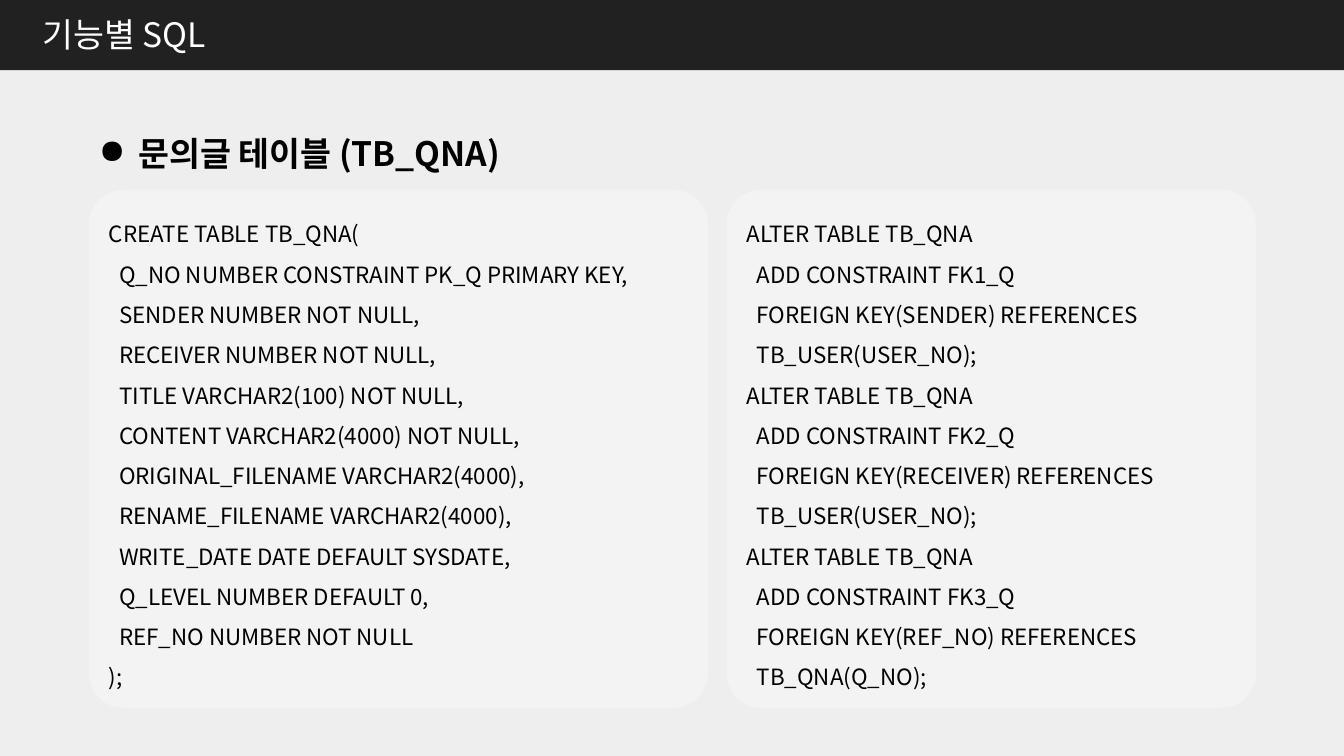
from lxml import etree
from pptx import Presentation
from pptx import util as u
from pptx.dml.color import RGBColor
from pptx.enum import shapes, text
from pptx.oxml import ns

FONT = "Noto Sans CJK KR"
BACKGROUND = RGBColor(0xEE, 0xEE, 0xEE)
HEADER = RGBColor(0x21, 0x21, 0x21)
WHITE = RGBColor(0xFF, 0xFF, 0xFF)
BLACK = RGBColor(0, 0, 0)

CREATE_SQL = [
    (0, "CREATE TABLE TB_QNA("),
    (1, "Q_NO NUMBER CONSTRAINT PK_Q PRIMARY KEY,"),
    (1, "SENDER NUMBER NOT NULL,"),
    (1, "RECEIVER NUMBER NOT NULL,"),
    (1, "TITLE VARCHAR2(100) NOT NULL,"),
    (1, "CONTENT VARCHAR2(4000) NOT NULL,"),
    (1, "ORIGINAL_FILENAME VARCHAR2(4000),"),
    (1, "RENAME_FILENAME VARCHAR2(4000),"),
    (1, "WRITE_DATE DATE DEFAULT SYSDATE,"),
    (1, "Q_LEVEL NUMBER DEFAULT 0,"),
    (1, "REF_NO NUMBER NOT NULL"),
    (0, ");"),
]
FOREIGN_KEYS = [
    ("FK1_Q", "SENDER", "TB_USER(USER_NO)"),
    ("FK2_Q", "RECEIVER", "TB_USER(USER_NO)"),
    ("FK3_Q", "REF_NO", "TB_QNA(Q_NO)"),
]


def foreign_key_sql():
    lines = []
    for constraint, column, target in FOREIGN_KEYS:
        lines += [
            (0, "ALTER TABLE TB_QNA"),
            (1, f"ADD CONSTRAINT {constraint}"),
            (1, f"FOREIGN KEY({column}) REFERENCES"),
            (1, f"{target};"),
        ]
    return lines


def write(paragraph, words, size=16, color=BLACK, bold=False, spacing=1.0,
          margin=0, hanging=0, bullet=None):
    paragraph.alignment = text.PP_ALIGN.LEFT
    paragraph.line_spacing = spacing
    run = paragraph.add_run()
    run.text = words
    run.font.size = u.Pt(size)
    run.font.bold = bold
    run.font.color.rgb = color
    run.font.name = FONT
    etree.SubElement(run.font._element, ns.qn("a:ea"), typeface=FONT)
    properties = paragraph._p.get_or_add_pPr()
    properties.set("marL", str(u.Cm(margin)))
    properties.set("indent", str(-u.Cm(hanging)))
    if bullet:
        etree.SubElement(properties, ns.qn("a:buChar"), char=bullet)


def place(shape, left, top, width, height):
    shape.left, shape.top = u.Cm(left), u.Cm(top)
    shape.width, shape.height = u.Cm(width), u.Cm(height)


def add_box(slide, kind, box, color):
    shape = slide.shapes.add_shape(kind, *map(u.Cm, box))
    shape.shadow.inherit = False
    shape.fill.solid()
    shape.fill.fore_color.rgb = color
    shape.line.fill.background()
    return shape


def add_header(slide, left, top, width, height):
    bar = add_box(slide, shapes.MSO_SHAPE.RECTANGLE,
                  (left, top, width, height), HEADER)
    slide.shapes._spTree.insert(2, bar._element)
    title = slide.shapes.title
    place(title, left + 0.81, top + 0.26, 16.38, 1.27)
    title.text_frame.vertical_anchor = text.MSO_ANCHOR.TOP
    title.text_frame.auto_size = text.MSO_AUTO_SIZE.NONE
    write(title.text_frame.paragraphs[0], "기능별 SQL", size=24, color=WHITE)


def add_table_heading(slide, left, top, width, height):
    heading = slide.shapes.add_textbox(*map(u.Cm, (left, top, width, height)))
    heading.text_frame.word_wrap = False
    write(heading.text_frame.paragraphs[0], "문의글 테이블 (TB_QNA)",
          size=24, bold=True, margin=1, hanging=1, bullet="●")


def add_sql_panel(slide, lines, left, top, width, height):
    panel = add_box(slide, shapes.MSO_SHAPE.ROUNDED_RECTANGLE,
                    (left, top, width, height), WHITE)
    panel.adjustments[0] = 0.067
    white = panel.fill._xPr.find(f".//{ns.qn('a:srgbClr')}")
    etree.SubElement(white, ns.qn("a:alpha"), val="34000")
    frame = panel.text_frame
    frame.word_wrap = True
    frame.vertical_anchor = text.MSO_ANCHOR.MIDDLE
    for number, (level, words) in enumerate(lines):
        paragraph = frame.add_paragraph() if number else frame.paragraphs[0]
        write(paragraph, words, spacing=1.5, margin=0.26 * level)


def main():
    deck = Presentation()
    deck.slide_width, deck.slide_height = u.Cm(33.87), u.Cm(19.05)
    slide = deck.slides.add_slide(deck.slide_layouts[5])
    slide.background.fill.solid()
    slide.background.fill.fore_color.rgb = BACKGROUND
    add_header(slide, 0, -0.03, 33.87, 1.8)
    add_table_heading(slide, 2.24, 3.23, 11.76, 1.27)
    add_sql_panel(slide, CREATE_SQL, 2.24, 4.78, 15.6, 13.06)
    add_sql_panel(slide, foreign_key_sql(), 18.31, 4.78, 13.34, 13.06)
    deck.save("out.pptx")


if __name__ == "__main__":
    main()
